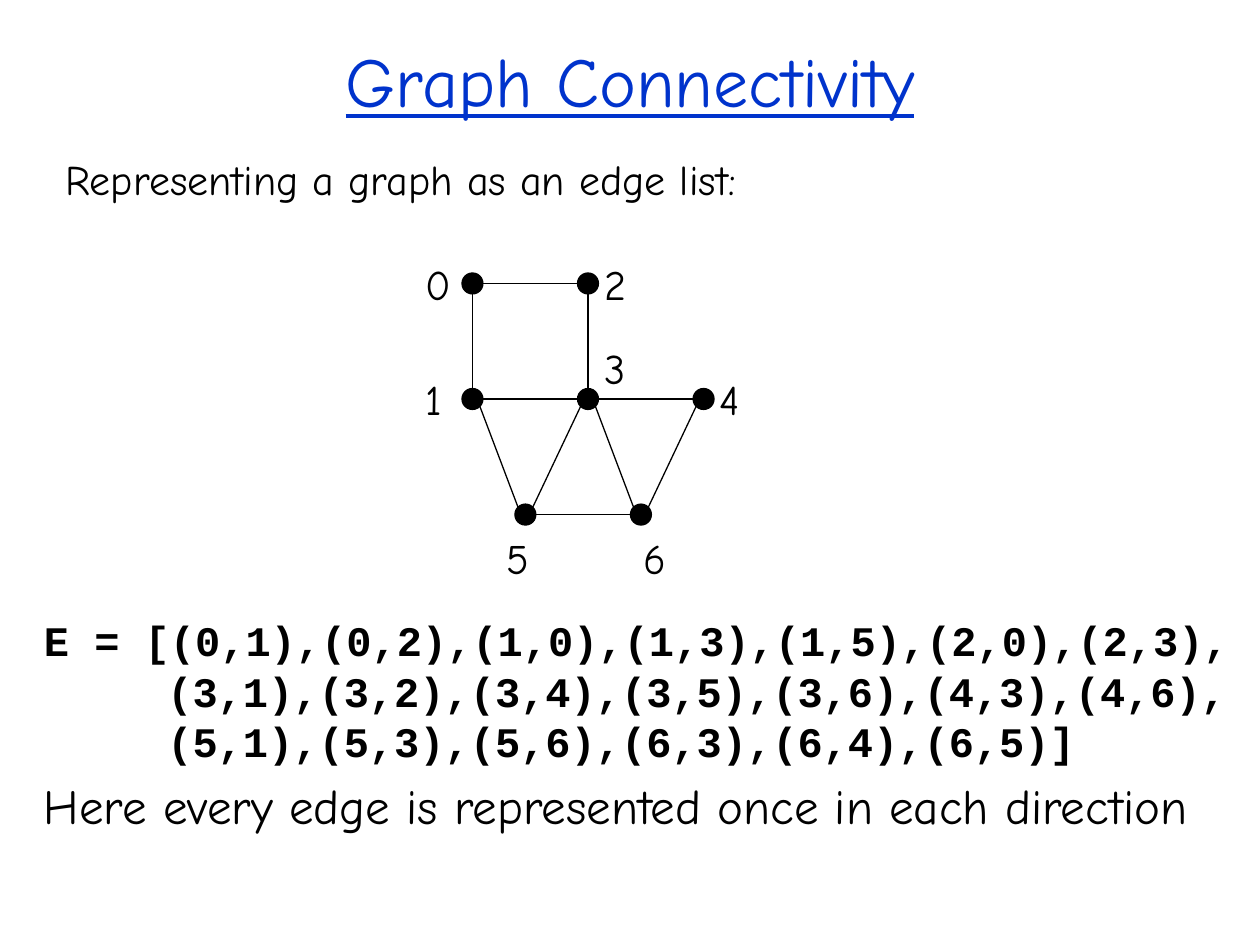
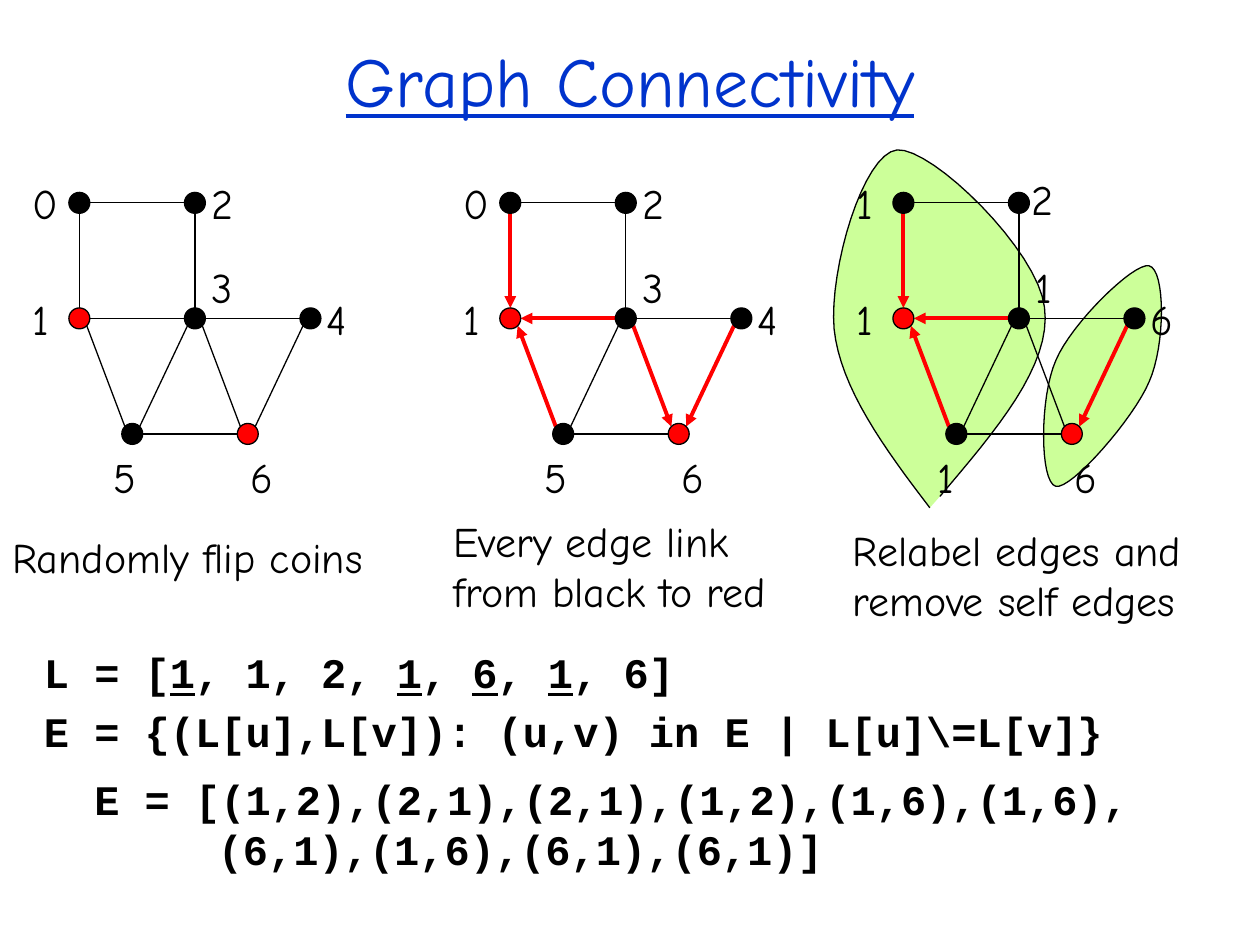
"""Build two slides on graph connectivity with edge lists and random mating."""
from dataclasses import dataclass

from lxml.etree import SubElement
from pptx import Presentation
from pptx.dml.color import RGBColor
from pptx.enum.shapes import MSO_CONNECTOR as Connector, MSO_SHAPE as Shape
from pptx.enum.text import MSO_ANCHOR as Anchor, MSO_AUTO_SIZE as AutoSize, PP_ALIGN as Align
from pptx.oxml.ns import qn
from pptx.util import Inches, Pt


@dataclass(frozen=True)
class Theme:
    black: RGBColor = RGBColor(0, 0, 0)
    blue: RGBColor = RGBColor(0x00, 0x33, 0xCC)
    red: RGBColor = RGBColor(0xFF, 0, 0)
    green: RGBColor = RGBColor(0xCC, 0xFF, 0x99)
    hand: str = "Comic Neue"
    code: str = "Courier New"
    title_size: int = 40
    note_size: int = 28
    text_size: int = 24
    thin: float = 0.75
    thick: float = 2.25


THEME = Theme()
TEXT = {"name": THEME.hand, "size": Pt(THEME.text_size)}
NOTE = {"name": THEME.hand, "size": Pt(THEME.note_size)}
CODE = {"name": THEME.code, "size": Pt(THEME.text_size), "bold": True}
TITLE = {"name": THEME.hand, "size": Pt(THEME.title_size), "underline": True}

STEP = 0.917
RADIUS = 0.083
NODES = [(0, 0), (0, STEP), (STEP, 0), (STEP, STEP), (2 * STEP, STEP),
         (0.42, 2 * STEP), (0.42 + STEP, 2 * STEP)]
LABEL_OFFSETS = [(-0.47, -0.25), (-0.47, -0.25), (0.03, -0.25), (0.03, -0.5),
                 (0.03, -0.25), (-0.25, 0.09), (-0.08, 0.09)]
EDGES = [(0, 1), (0, 2), (1, 3), (1, 5), (2, 3), (3, 4), (3, 5), (3, 6), (4, 6), (5, 6)]
LABELS = "0123456"

TITLE_TEXT = "Graph Connectivity"
EDGE_LIST_INTRO = "Representing a graph as an edge list:"
EDGE_LIST_BODY = [
    ("E = [(0,1),(0,2),(1,0),(1,3),(1,5),(2,0),(2,3),\n"
     "(3,1),(3,2),(3,4),(3,5),(3,6),(4,3),(4,6),\n"
     "(5,1),(5,3),(5,6),(6,3),(6,4),(6,5)]", CODE, 0, 0.98, 5, 0),
    ("Here every edge is represented once in each direction", NOTE, 0, 0.58, 5.6, 0),
]
CONTRACTION_BODY = [
    ("L = [_1_, 1, 2, _1_, _6_, _1_, 6]", CODE, 0, 0.58, 5, 0),
    ("E = {(L[u],L[v]): (u,v) in E | L[u]\\=L[v]}", CODE, 0, 0.58, 5, 0),
    ("E = [(1,2),(2,1),(2,1),(1,2),(1,6),(1,6),\n"
     "(6,1),(1,6),(6,1),(6,1)]", CODE, 0.4, 0.98, 10, 2.4),
]
CONTRACTION_GRAPHS = [
    {"origin": (0.63, 1.61), "reds": (1, 6)},
    {"origin": (4.05, 1.61), "reds": (1, 6),
     "links": [(0, 1), (3, 1), (5, 1), (4, 6), (3, 6)]},
    {"origin": (7.17, 1.61), "reds": (1, 6), "labels": "1121616",
     "links": [(0, 1), (3, 1), (5, 1), (4, 6)], "nudges": {2: (-0.03, -0.03)}},
]
CAPTIONS = [
    ("Randomly flip coins", (0, 4.17, 3.19, 0.51)),
    ("Every edge link\nfrom black to red", (3.5, 4.04, 2.97, 0.91)),
    ("Relabel edges and\nremove self edges", (6.67, 4.11, 3.06, 0.91)),
]
CLUSTERS = [
    ((8.38, 3.86), True,
     [((8.5, 3.89), (9, 3.32), (9.12, 3.03)), ((9.25, 2.74), (9.25, 2.14), (9.12, 2.11)),
      ((9, 2.08), (8.5, 2.57), (8.38, 2.86)), ((8.25, 3.15), (8.25, 3.83), (8.38, 3.86))]),
    ((7.46, 3.94), False,
     [((7.9, 3.42), (8.35, 2.9), (8.29, 2.44)), ((8.24, 1.99), (7.4, 1.17), (7.12, 1.19)),
      ((6.85, 1.22), (6.58, 2.14), (6.62, 2.61)), ((6.67, 3.08), (7.02, 3.56), (7.38, 4.03))]),
]


def apply(target, values):
    for name, value in values.items():
        setattr(target, name, value)


def write(paragraph, text, font, color=THEME.black):
    for line_number, line in enumerate(text.split("\n")):
        if line_number:
            paragraph.add_line_break()
        for piece_number, piece in enumerate(line.split("_")):
            run = paragraph.add_run()
            run.text = piece
            apply(run.font, font)
            run.font.color.rgb = color
            if piece_number % 2:
                run.font.underline = True


def add_text_frame(slide, box, **values):
    frame = slide.shapes.add_textbox(*map(Inches, box)).text_frame
    apply(frame, {"word_wrap": True, **values})
    return frame


def add_title(slide):
    frame = add_text_frame(slide, (0.75, 0.17, 8.5, 0.92), vertical_anchor=Anchor.MIDDLE)
    frame.paragraphs[0].alignment = Align.CENTER
    write(frame.paragraphs[0], TITLE_TEXT, TITLE, THEME.blue)


def add_label(slide, text, box):
    frame = add_text_frame(slide, box, word_wrap=False, auto_size=AutoSize.SHAPE_TO_FIT_TEXT)
    write(frame.paragraphs[0], text, TEXT)


def add_body(slide, box, items):
    frame = add_text_frame(slide, box)
    for number, (text, font, left, hanging, before, after) in enumerate(items):
        paragraph = frame.add_paragraph() if number else frame.paragraphs[0]
        apply(paragraph, {"space_before": Pt(before), "space_after": Pt(after)})
        properties = paragraph._p.get_or_add_pPr()
        properties.set("marL", str(Inches(left + hanging)))
        properties.set("indent", str(-Inches(hanging)))
        write(paragraph, text, font)


def paint(shape, color):
    shape.shadow.inherit = False
    shape.fill.solid()
    shape.fill.fore_color.rgb = color
    shape.line.color.rgb = THEME.black
    shape.line.width = Pt(THEME.thin)


def add_edge(slide, start, end, is_link):
    signs = [(b > a) - (b < a) for a, b in zip(start, end)]
    reach = RADIUS * (0.71 if all(signs) else 1)
    begin = [a + sign * reach for a, sign in zip(start, signs)]
    finish = [b - sign * reach for b, sign in zip(end, signs)]
    edge = slide.shapes.add_connector(Connector.STRAIGHT, *map(Inches, begin + finish))
    edge.line.color.rgb = THEME.red if is_link else THEME.black
    edge.line.width = Pt(THEME.thick if is_link else THEME.thin)
    if is_link:
        SubElement(edge.line._get_or_add_ln(), qn("a:tailEnd"), type="triangle")
    SubElement(edge._element.spPr, qn("a:effectLst"))


def add_graph(slide, origin, reds=(), links=(), labels=LABELS, nudges={}):
    centers = [(origin[0] + x, origin[1] + y) for x, y in NODES]
    plain = [(u, v) for u, v in EDGES if (u, v) not in links and (v, u) not in links]
    for u, v in [*links, *plain]:
        add_edge(slide, centers[u], centers[v], (u, v) in links)
    for node, ((x, y), (dx, dy)) in enumerate(zip(centers, LABEL_OFFSETS)):
        dot = slide.shapes.add_shape(Shape.OVAL, *map(
            Inches, (x - RADIUS, y - RADIUS, 2 * RADIUS, 2 * RADIUS)))
        paint(dot, THEME.red if node in reds else THEME.black)
        nudge_x, nudge_y = nudges.get(node, (0, 0))
        add_label(slide, labels[node], (x + dx + nudge_x, y + dy + nudge_y, 0.38, 0.5))


def curve_points(start, curves, steps=16):
    for first, second, end in curves:
        for step in range(1, steps + 1):
            t = step / steps
            weights = ((1 - t) ** 3, 3 * t * (1 - t) ** 2, 3 * t * t * (1 - t), t ** 3)
            corners = (start, first, second, end)
            yield tuple(Inches(sum(w * corner[axis] for w, corner in zip(weights, corners)))
                        for axis in (0, 1))
        start = end


def add_cluster(slide, start, closed, curves):
    builder = slide.shapes.build_freeform(*map(Inches, start))
    builder.add_line_segments(list(curve_points(start, curves)), close=closed)
    paint(builder.convert_to_shape(), THEME.green)


def build_edge_list_slide(slide):
    add_title(slide)
    add_body(slide, (0.25, 4.83, 9.67, 1.58), EDGE_LIST_BODY)
    add_graph(slide, (3.75, 2.25))
    add_body(slide, (0.42, 1.17, 9.33, 0.92), [(EDGE_LIST_INTRO, TEXT, 0, 0.58, 5, 0)])


def build_contraction_slide(slide):
    for cluster in CLUSTERS:
        add_cluster(slide, *cluster)
    add_title(slide)
    add_body(slide, (0.25, 5.08, 9.75, 1.75), CONTRACTION_BODY)
    for graph in CONTRACTION_GRAPHS:
        add_graph(slide, **graph)
    for caption in CAPTIONS:
        add_label(slide, *caption)


def main():
    presentation = Presentation()
    apply(presentation, {"slide_width": Inches(10), "slide_height": Inches(7.5)})
    for build in (build_edge_list_slide, build_contraction_slide):
        build(presentation.slides.add_slide(presentation.slide_layouts[6]))
    presentation.save("out.pptx")


if __name__ == "__main__":
    main()
